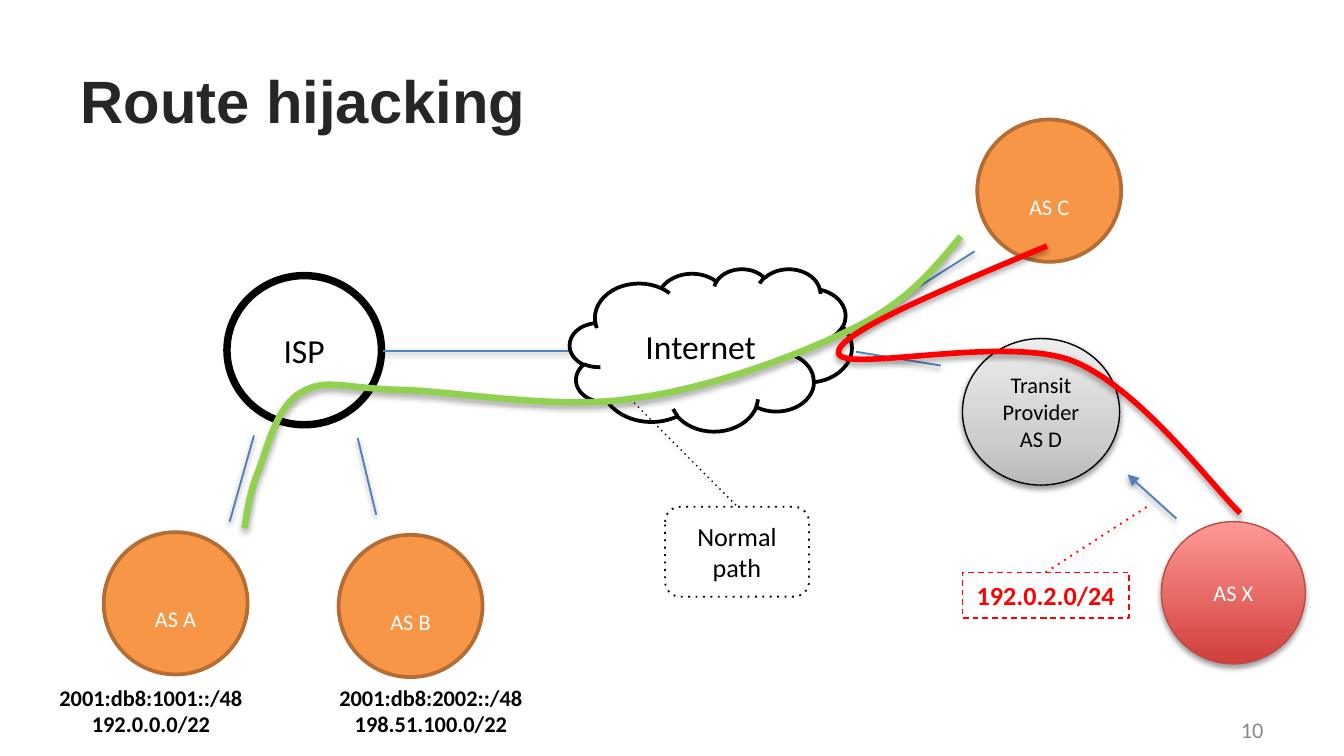
from collections import namedtuple

from lxml.etree import SubElement
from pptx import Presentation
from pptx.dml.color import RGBColor
from pptx.enum.shapes import MSO_CONNECTOR as Link, MSO_SHAPE as Form
from pptx.enum.text import MSO_ANCHOR as Anchor, PP_ALIGN as Align
from pptx.oxml.ns import qn
from pptx.util import Cm, Pt

Box = namedtuple("Box", "left top width height")
BLUE, ORANGE, BROWN = "4F81BD", "F79646", "B46D33"
BLACK, WHITE, RED, GREEN = "000000", "FFFFFF", "FF0000", "92D050"
SILVER = [(0, "BABABA"), (35, "CFCFCF"), (100, "EDEDED")]
CRIMSON = [(0, "D13F3B"), (100, "FF9995")]
NORMAL_ROUTE = [
    (18.16, 0.47), (17.65, 1.08), (17.15, 1.72), (16.1, 2.22),
    (15.06, 2.73), (13.34, 3.37), (11.91, 3.54),
    (10.49, 3.75), (8.59, 3.39), (7.54, 3.37),
    (6.5, 3.34), (6.15, 3.14), (5.69, 3.42),
    (5.23, 3.67), (5.05, 4.48), (4.88, 4.92),
    (4.7, 5.35), (4.67, 5.73), (4.62, 5.98)]
HIJACKED_ROUTE = [
    (19.79, 0.65), (17.78, 1.49), (15.77, 2.32), (15.85, 2.68),
    (15.93, 3.06), (19.02, 2.32), (20.29, 2.83),
    (21.54, 3.34), (22.91, 5.19), (23.44, 5.7)]


def rgb(value):
    """Turn a hex string into a colour."""
    return RGBColor.from_string(value)


def place(box, left, top, width, height):
    """Return lengths for a part at an offset inside a box."""
    return Cm(box.left + left), Cm(box.top + top), Cm(width), Cm(height)


def write(frame, lines, size, color, bold=False, align=Align.CENTER,
          anchor=Anchor.MIDDLE, font="Calibri"):
    """Fill a text frame with one paragraph per line."""
    frame.vertical_anchor = anchor
    for index, line in enumerate(lines):
        para = frame.add_paragraph() if index else frame.paragraphs[0]
        para.alignment = align
        span = para.add_run()
        span.text = line
        span.font.name = font
        span.font.size = Pt(size)
        span.font.bold = bold
        span.font.color.rgb = rgb(color)


def stroke(shape, color, width, dash=None):
    """Set the outline of a shape or connector."""
    shape.line.color.rgb = rgb(color)
    shape.line.width = Pt(width)
    if dash:
        SubElement(shape.line._get_or_add_ln(), qn("a:prstDash"), val=dash)


def cast_shadow(shape, alpha=38, distance=1.6):
    """Give a shape or connector a soft shadow below it."""
    effects = SubElement(shape._element.spPr, qn("a:effectLst"))
    outer = SubElement(effects, qn("a:outerShdw"), blurRad=str(Pt(3.1)),
                       dist=str(Pt(distance)), dir="5400000", rotWithShape="0")
    black = SubElement(outer, qn("a:srgbClr"), val=BLACK)
    SubElement(black, qn("a:alpha"), val=str(alpha * 1000))


def paint(shape, fill):
    """Fill a shape with a colour, upward gradient stops, or nothing."""
    if fill is None:
        shape.fill.background()
    elif isinstance(fill, str):
        shape.fill.solid()
        shape.fill.fore_color.rgb = rgb(fill)
    else:
        shape.fill.gradient()
        shape.fill.gradient_angle = 90
        stops = shape._element.spPr.find(qn("a:gradFill")).find(qn("a:gsLst"))
        for stop in list(stops):
            stops.remove(stop)
        for position, color in fill:
            stop = SubElement(stops, qn("a:gs"), pos=str(position * 1000))
            SubElement(stop, qn("a:srgbClr"), val=color)


def add_node(page, form, area, fill, line, lines, size, color=BLACK,
             bold=False, shadow=False):
    """Add a filled and outlined shape with centred text."""
    shape = page.shapes.add_shape(form, *area)
    paint(shape, fill)
    stroke(shape, *line)
    if shadow:
        cast_shadow(shape)
    else:
        shape.shadow.inherit = False
    write(shape.text_frame, lines, size, color, bold)
    return shape


def add_network(page, box, left, top, name):
    """Add an orange network circle with its name below the middle."""
    area = place(box, left, top, 2.72, 2.69)
    shape = add_node(page, Form.OVAL, area, ORANGE, (BROWN, 2), [name], 12, WHITE)
    shape.text_frame.margin_top = Cm(0.72)


def add_link(page, box, start, end, color=BLUE, width=1, dash=None, arrow=False):
    """Join two points of a box with a straight line."""
    ends = [Cm(value) for x, y in (start, end) for value in (box.left + x, box.top + y)]
    link = page.shapes.add_connector(Link.STRAIGHT, *ends)
    stroke(link, color, width, dash)
    if arrow:
        SubElement(link.line._get_or_add_ln(), qn("a:headEnd"), type="triangle")
    cast_shadow(link)


def add_route(page, box, points, color, width):
    """Draw a smooth route through a start point and triples of curve points."""
    spots = [(Cm(box.left + x), Cm(box.top + y)) for x, y in points]
    builder = page.shapes.build_freeform(*spots[0])
    builder.add_line_segments(spots[1:], close=False)
    route = builder.convert_to_shape()
    outline = next(route._element.iter(qn("a:path")))
    legs = outline.findall(qn("a:lnTo"))
    for first in range(0, len(legs), 3):
        curve = SubElement(outline, qn("a:cubicBezTo"))
        for leg in legs[first:first + 3]:
            curve.append(leg[0])
            outline.remove(leg)
    paint(route, None)
    stroke(route, color, width)
    cast_shadow(route, 35, 1.8)


def add_header(page, box):
    """Place the title and the page number."""
    title = page.shapes.title
    title.left, title.top, title.width, title.height = place(box, 1.27, 0.99, 16.92, 1.8)
    write(title.text_frame, ["Route hijacking"], 32, "262626", True, Align.LEFT, font="Arial")
    number = page.shapes.add_textbox(*place(box, 18.21, 13.41, 5.92, 0.76))
    number.text_frame.word_wrap = True
    write(number.text_frame, ["10"], 12, "888888", align=Align.RIGHT)


def add_customers(page, box):
    """Place the ISP with its two customer networks and their prefixes."""
    add_node(page, Form.OVAL, place(box, 4.29, 0.21, 2.92, 2.82), WHITE,
             (BLACK, 4), ["ISP"], 18)
    add_network(page, box, 1.96, 5.06, "AS A")
    add_network(page, box, 6.4, 5.11, "AS B")
    add_link(page, box, (4.8, 3.23), (4.34, 4.86))
    add_link(page, box, (6.76, 3.28), (7.11, 4.73))
    add_link(page, box, (7.24, 1.63), (10.8, 1.63))
    for left, prefixes in ((0.86, ["2001:db8:1001::/48", "192.0.0.0/22"]),
                           (6.15, ["2001:db8:2002::/48", "198.51.100.0/22"])):
        label = page.shapes.add_textbox(*place(box, left, 7.8, 3.99, 1.27))
        write(label.text_frame, prefixes, 12, BLACK, True, anchor=Anchor.TOP)


def add_internet(page, box):
    """Place the Internet cloud and the callout for the normal path."""
    add_node(page, Form.CLOUD, place(box, 0.77, 0.08, 5.33, 3.07), WHITE,
             (BLACK, 2), ["Internet"], 18)
    add_link(page, box, (1.91, 2.54), (3.94, 4.58), BLACK, 0.75, "dot")
    add_node(page, Form.ROUNDED_RECTANGLE, place(box, 2.57, 4.58, 2.72, 1.7), WHITE,
             (BLACK, 1, "dot"), ["Normal", "path"], 14)


def add_attack(page, box):
    """Place the far network, the transit provider and the hijacker."""
    add_network(page, box, 2.47, 0.26, "AS C")
    add_link(page, box, (0.1, 4.22), (2.42, 2.75))
    add_node(page, Form.OVAL, place(box, 2.19, 4.4, 2.97, 2.77), SILVER,
             (BLACK, 0.75), ["Transit Provider", "AS D"], 12, shadow=True)
    add_link(page, box, (0.18, 4.65), (1.78, 4.91))
    add_node(page, Form.OVAL, place(box, 5.95, 7.86, 2.72, 2.69), CRIMSON,
             ("BD4B48", 0.75), ["AS X"], 12, WHITE, shadow=True)
    add_link(page, box, (5.31, 6.97), (6.23, 7.8), arrow=True)
    prefix = add_node(page, Form.RECTANGLE, place(box, 2.19, 8.82, 3.15, 0.86), None,
                      (RED, 0.75, "dash"), ["192.0.2.0/24"], 14, RED, True)
    prefix.text_frame.word_wrap = False
    add_link(page, box, (3.76, 8.82), (5.72, 7.55), RED, 1, "dot")


def main():
    """Build the deck and save it."""
    deck = Presentation()
    deck.slide_width, deck.slide_height = Cm(25.4), Cm(14.29)
    page = deck.slides.add_slide(deck.slide_layouts[5])
    add_header(page, Box(0, 0, 25.4, 14.29))
    add_customers(page, Box(0, 5, 11, 9.1))
    add_internet(page, Box(10, 5, 6.1, 6.3))
    add_attack(page, Box(16, 2, 8.7, 10.6))
    routes = Box(0, 4, 25.4, 6)
    add_route(page, routes, NORMAL_ROUTE, GREEN, 3.5)
    add_route(page, routes, HIJACKED_ROUTE, RED, 3)
    deck.save("out.pptx")


if __name__ == "__main__":
    main()
